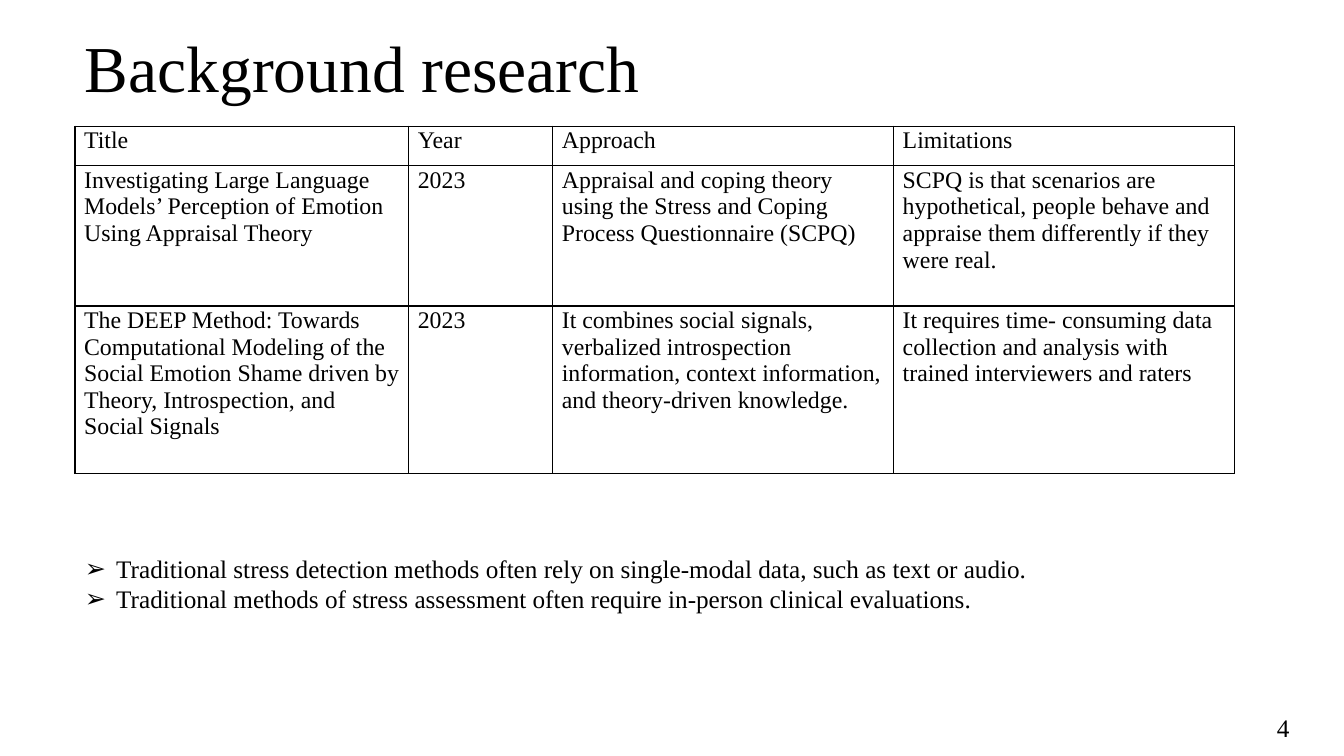
from dataclasses import dataclass

from lxml import etree
from pptx import Presentation
from pptx import util as u
from pptx.dml.color import RGBColor
from pptx.enum import shapes, text
from pptx.oxml import ns


@dataclass(frozen=True)
class Theme:
    font: str = "Times New Roman"
    ink: RGBColor = RGBColor(0, 0, 0)
    paper: RGBColor = RGBColor(255, 255, 255)
    title: float = 46.8
    table: float = 17
    body: float = 18
    border: float = 1
    outline: float = 0.75


THEME = Theme()
LEFT = 1.89

STUDIES = [
    ["Title", "Year", "Approach", "Limitations"],
    [
        "Investigating Large Language Models’ Perception of Emotion Using Appraisal Theory",
        "2023",
        "Appraisal and coping theory using the Stress and Coping Process Questionnaire (SCPQ)",
        "SCPQ is that scenarios are hypothetical, people behave and appraise them "
        "differently if they were real.",
    ],
    [
        "The DEEP Method: Towards Computational Modeling of the Social Emotion Shame "
        "driven by Theory, Introspection, and Social Signals",
        "2023",
        "It combines social signals, verbalized introspection information, context "
        "information, and theory-driven knowledge.",
        "It requires time- consuming data collection and analysis with trained "
        "interviewers and raters",
    ],
]
COLUMN_WIDTHS = [8.41, 3.63, 8.59, 8.59]
ROW_HEIGHTS = [1, 3.53, 4.22]

FINDINGS = [
    "Traditional stress detection methods often rely on single-modal data, such as text or audio.",
    "Traditional methods of stress assessment often require in-person clinical evaluations.",
]


def style(frame, size):
    for paragraph in frame.paragraphs:
        for run in paragraph.runs:
            run.font.name = THEME.font
            run.font.size = u.Pt(size)
            run.font.color.rgb = THEME.ink
            run.font.bold = False


def add_text(slide, left, top, width, height, wording, size):
    frame = slide.shapes.add_textbox(u.Cm(left), u.Cm(top), u.Cm(width), u.Cm(height)).text_frame
    frame.word_wrap = True
    frame.text = wording
    style(frame, size)
    return frame


def add_bullets(frame, symbol, indent):
    for paragraph in frame.paragraphs:
        properties = paragraph._p.get_or_add_pPr()
        properties.set("marL", str(u.Cm(indent)))
        properties.set("indent", str(-u.Cm(indent)))
        etree.SubElement(properties, ns.qn("a:buFont"), typeface="Arial")
        etree.SubElement(properties, ns.qn("a:buChar"), char=symbol)


def add_page_number(slide, left, top, width, height, number):
    badge = slide.shapes.add_shape(
        shapes.MSO_SHAPE.RECTANGLE, u.Cm(left), u.Cm(top), u.Cm(width), u.Cm(height)
    )
    badge.shadow.inherit = False
    badge.fill.background()
    badge.line.color.rgb = THEME.paper
    badge.line.width = u.Pt(THEME.outline)
    badge.text_frame.text = number
    badge.text_frame.vertical_anchor = text.MSO_ANCHOR.BOTTOM
    badge.text_frame.paragraphs[0].alignment = text.PP_ALIGN.LEFT
    style(badge.text_frame, THEME.body)


def add_borders(cell):
    properties = cell._tc.get_or_add_tcPr()
    for side in ("a:lnL", "a:lnR", "a:lnT", "a:lnB"):
        line = etree.SubElement(properties, ns.qn(side), w=str(u.Pt(THEME.border)))
        fill = etree.SubElement(line, ns.qn("a:solidFill"))
        etree.SubElement(fill, ns.qn("a:srgbClr"), val=str(THEME.ink))


def fill_cell(cell, wording):
    cell.text_frame.text = wording
    cell.margin_left = cell.margin_right = u.Cm(0.23)
    cell.margin_top = u.Cm(0.03)
    cell.margin_bottom = 0
    style(cell.text_frame, THEME.table)
    add_borders(cell)
    cell.fill.background()


def add_studies(slide, left, top):
    studies = slide.shapes.add_table(
        len(STUDIES), len(COLUMN_WIDTHS), u.Cm(left), u.Cm(top),
        u.Cm(sum(COLUMN_WIDTHS)), u.Cm(sum(ROW_HEIGHTS)),
    ).table
    studies.first_row = studies.horz_banding = False
    for column, width in zip(studies.columns, COLUMN_WIDTHS):
        column.width = u.Cm(width)
    for row, height, study in zip(studies.rows, ROW_HEIGHTS, STUDIES):
        row.height = u.Cm(height)
        for cell, wording in zip(row.cells, study):
            fill_cell(cell, wording)


def main():
    deck = Presentation()
    deck.slide_width, deck.slide_height = u.Cm(33.87), u.Cm(19.05)
    slide = deck.slides.add_slide(deck.slide_layouts[6])

    heading = add_text(slide, LEFT, 0.74, 29.2, 2.13, "Background research", THEME.title)
    heading.vertical_anchor = text.MSO_ANCHOR.MIDDLE
    heading.paragraphs[0].line_spacing = 0.9

    add_studies(slide, LEFT, 3.18)

    findings = add_text(slide, LEFT, 13.82, 26.5, 1.8, "\n".join(FINDINGS), THEME.body)
    add_bullets(findings, "➢", 0.79)

    add_page_number(slide, 31.93, 17.03, 1.65, 1.8, "4")
    deck.save("out.pptx")


if __name__ == "__main__":
    main()
